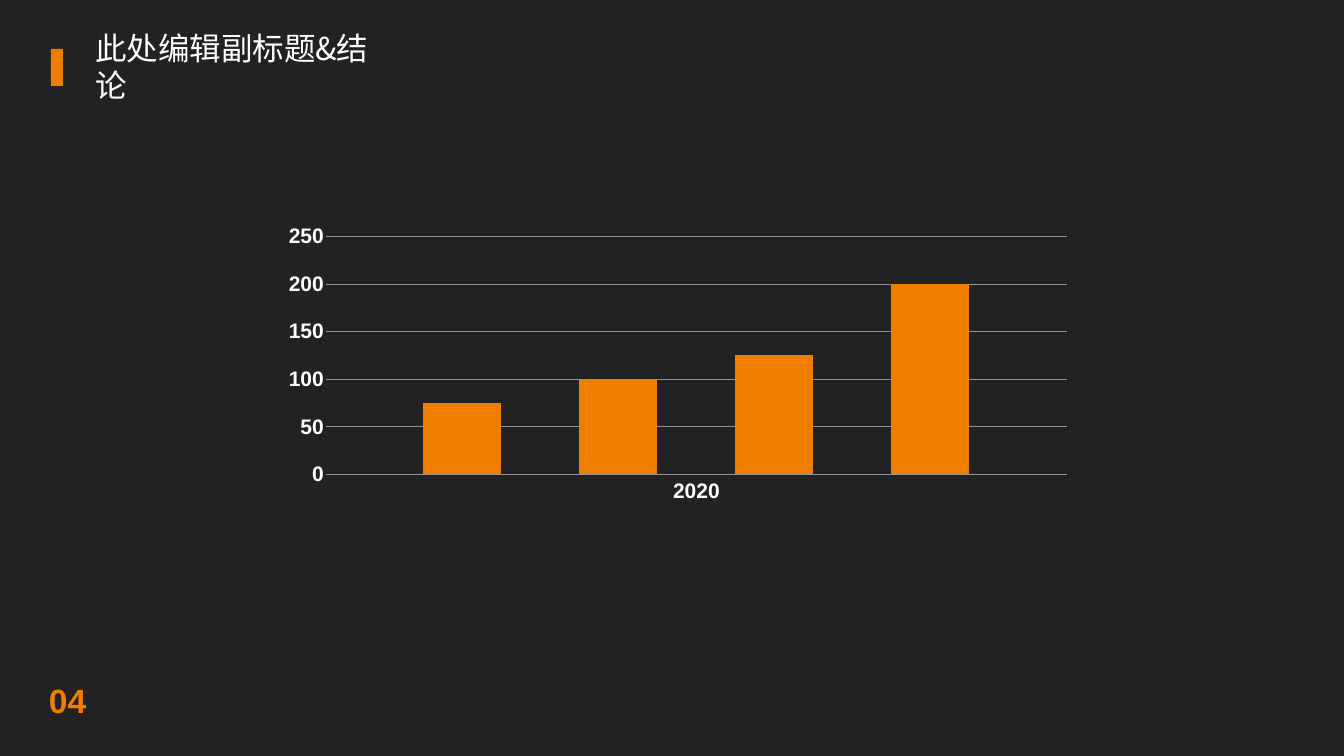
from dataclasses import dataclass

from lxml import etree
from pptx import Presentation
from pptx.chart.data import CategoryChartData
from pptx.dml.color import RGBColor
from pptx.enum.chart import XL_CHART_TYPE as ChartType, XL_TICK_LABEL_POSITION as LabelPosition, XL_TICK_MARK as TickMark
from pptx.enum.shapes import MSO_SHAPE as Preset
from pptx.enum.text import MSO_ANCHOR as Anchor, MSO_AUTO_SIZE as AutoSize, PP_ALIGN as Align
from pptx.oxml.ns import qn
from pptx.util import Emu, Pt


@dataclass(frozen=True)
class Theme:
    background: RGBColor = RGBColor(0x22, 0x22, 0x22)
    accent: RGBColor = RGBColor(0xEE, 0x7D, 0x00)
    text: RGBColor = RGBColor(0xFF, 0xFF, 0xFF)
    grid: RGBColor = RGBColor(0x92, 0x92, 0x92)
    latin: str = "Arial"
    chinese: str = "Noto Sans CJK SC"
    title_size: int = 45
    title_leading: int = 53
    number_size: int = 48
    axis_size: int = 30


THEME = Theme()
EMU_PER_PX = 914400 / 50.4


def px(length):
    return Emu(round(length * EMU_PER_PX))


def set_attributes(target, values):
    for name, value in values.items():
        setattr(target, name, value)


def place(shape, left, top, width, height):
    set_attributes(shape, {"left": px(left), "top": px(top),
                           "width": px(width), "height": px(height)})


def format_font(font, name, size, color, bold=False):
    set_attributes(font, {"name": name, "size": Pt(size), "bold": bold})
    font.color.rgb = color


def write_text(shape, text, name, size, color, bold=False):
    frame = shape.text_frame
    inset = px(4)
    set_attributes(frame, {
        "text": text, "word_wrap": True, "auto_size": AutoSize.NONE,
        "vertical_anchor": Anchor.MIDDLE, "margin_left": inset,
        "margin_top": inset, "margin_right": inset, "margin_bottom": inset})
    paragraph = frame.paragraphs[0]
    paragraph.alignment = Align.LEFT
    format_font(paragraph.runs[0].font, name, size, color, bold)
    return paragraph


def add_title(slide, text):
    title = slide.shapes.title
    place(title, 91, 44, 310, 46)
    paragraph = write_text(title, text, THEME.chinese, THEME.title_size, THEME.text)
    paragraph.line_spacing = Pt(THEME.title_leading)
    # East Asian glyphs take their own typeface element
    properties = paragraph.runs[0].font._element
    east_asian = etree.Element(qn("a:ea"), typeface=THEME.chinese)
    properties.find(qn("a:latin")).addnext(east_asian)


def add_marker(slide):
    marker = slide.shapes.add_shape(Preset.RECTANGLE, px(51), px(49), px(12), px(37))
    marker.shadow.inherit = False
    marker.fill.solid()
    marker.fill.fore_color.rgb = THEME.accent
    marker.line.fill.background()


def add_page_number(slide, text):
    box = slide.shapes.add_textbox(px(45), px(676), px(85), px(48))
    write_text(box, text, THEME.latin, THEME.number_size, THEME.accent, bold=True)


def format_line(line):
    line.color.rgb = THEME.grid
    line.width = Pt(1)


def format_axis(axis, values):
    set_attributes(axis, {"major_tick_mark": TickMark.NONE,
                          "minor_tick_mark": TickMark.NONE, **values})
    format_font(axis.tick_labels.font, THEME.latin, THEME.axis_size, THEME.text, bold=True)


def set_plot_layout(chart, x, y, w, h):
    plot_area = chart._chartSpace.chart.plotArea
    for layout in plot_area.findall(qn("c:layout")):
        plot_area.remove(layout)
    layout = etree.Element(qn("c:layout"))
    manual = etree.SubElement(layout, qn("c:manualLayout"))
    settings = {"layoutTarget": "inner", "xMode": "edge", "yMode": "edge",
                "x": x, "y": y, "w": w, "h": h}
    for name, value in settings.items():
        etree.SubElement(manual, qn(f"c:{name}"), val=str(value))
    plot_area.insert(0, layout)


def add_column_chart(slide, category, values):
    data = CategoryChartData()
    data.categories = [category]
    for number, value in enumerate(values, 1):
        data.add_series(f"Series {number}", [value])
    frame = slide.shapes.add_chart(ChartType.COLUMN_CLUSTERED,
                                   px(274), px(212), px(797), px(332), data)
    chart = frame.chart
    set_attributes(chart, {"has_legend": False, "has_title": False})
    set_plot_layout(chart, 0.065, 0.074, 0.93, 0.716)

    # Columns
    plot = chart.plots[0]
    set_attributes(plot, {"gap_width": 250, "overlap": -100, "vary_by_categories": False})
    for series in plot.series:
        series.format.fill.solid()
        series.format.fill.fore_color.rgb = THEME.accent

    # Axes and gridlines
    format_axis(chart.category_axis, {"tick_label_position": LabelPosition.LOW})
    format_line(chart.category_axis.format.line)
    value_axis = chart.value_axis
    format_axis(value_axis, {"minimum_scale": 0, "maximum_scale": 250,
                             "major_unit": 50, "has_major_gridlines": True})
    set_attributes(value_axis.tick_labels, {"number_format": "#,##0",
                                            "number_format_is_linked": False})
    value_axis.format.line.fill.background()
    format_line(value_axis.major_gridlines.format.line)


def main():
    presentation = Presentation()
    set_attributes(presentation, {"slide_width": px(1344), "slide_height": px(756)})
    slide = presentation.slides.add_slide(presentation.slide_layouts[5])
    slide.background.fill.solid()
    slide.background.fill.fore_color.rgb = THEME.background

    add_column_chart(slide, "2020", [75, 100, 125, 200])
    add_marker(slide)
    add_page_number(slide, "04")
    add_title(slide, "此处编辑副标题&结论")
    presentation.save("out.pptx")


if __name__ == "__main__":
    main()
